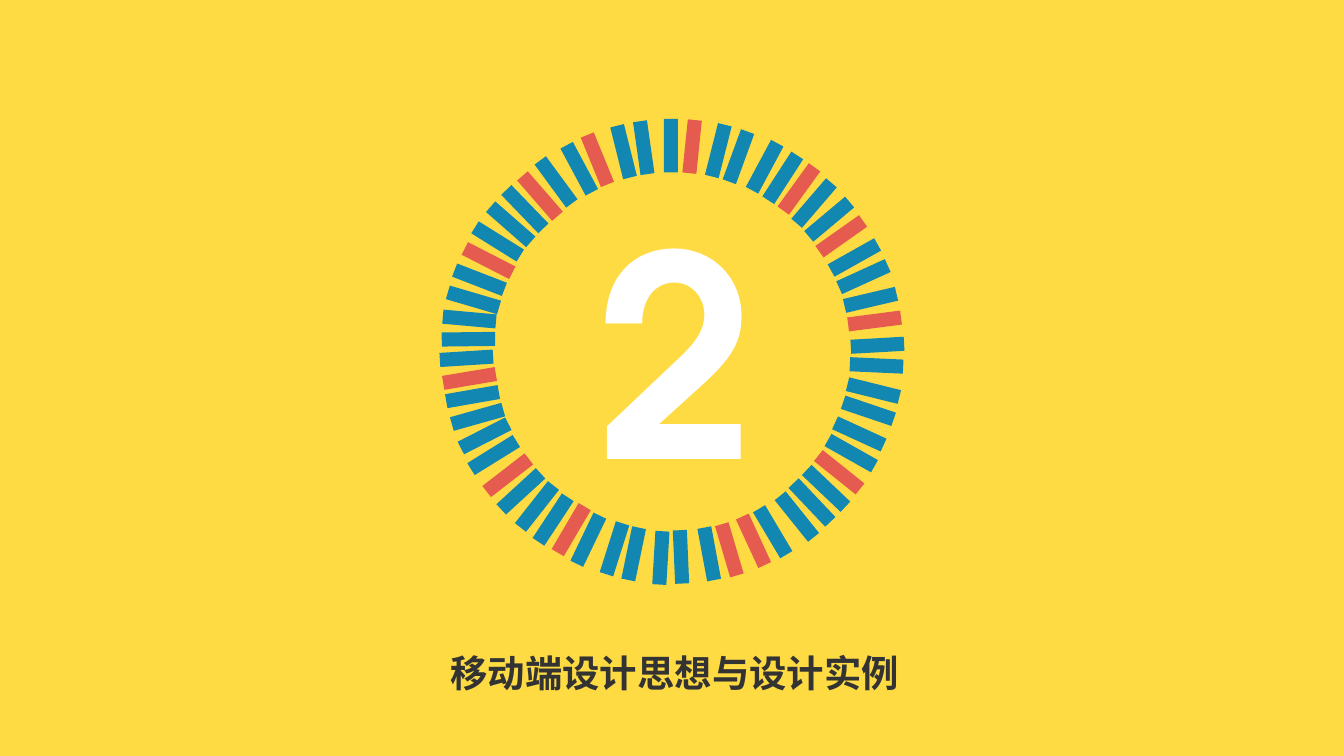
from pptx import Presentation
from pptx.dml.color import RGBColor
from pptx.enum.shapes import MSO_SHAPE
from pptx.enum.text import MSO_AUTO_SIZE, PP_ALIGN
from pptx.util import Cm, Pt

COLORS = {
    "background": "FEDB43",
    "blue": "1187B1",
    "red": "E65B4F",
    "number": "FFFFFF",
    "title": "333333",
}
FONT = "TeX Gyre Adventor"
BAR_WIDTH, BAR_LENGTH = 0.14, 0.53

# Every arc of the ring follows this fan of tilts, mirrored or turned as a whole.
FAN_TILTS = (0, 5.9, 14.2, 20.1, 28.2, 32.9, 35.9,
             40.7, 50, 54.8, 60.7, 65.5, 76.8, 82.6)

# Bar corners are in inches; "red" holds the positions of the red bars.
ARCS = [
    {"turn": 0, "direction": 1, "red": {1, 6, 9, 13},
     "lefts": (6.59, 6.8, 7.06, 7.26, 7.52, 7.7, 7.86,
               8.01, 8.16, 8.28, 8.41, 8.5, 8.57, 8.61),
     "tops": (1.18, 1.19, 1.23, 1.29, 1.39, 1.5, 1.61,
              1.75, 1.91, 2.08, 2.29, 2.48, 2.71, 2.92)},
    {"turn": -8.1, "direction": -1, "red": {2, 5, 9},
     "lefts": (6.32, 6.12, 5.86, 5.68, 5.45, 5.29, 5.14,
               5, 4.87, 4.78, 4.69, 4.63, 4.59, 4.58),
     "tops": (1.2, 1.24, 1.32, 1.41, 1.54, 1.68, 1.81,
              1.96, 2.13, 2.32, 2.51, 2.71, 2.9, 3.1)},
    {"turn": -10.6, "direction": -1, "red": {1, 2, 7},
     "lefts": (6.97, 7.17, 7.41, 7.6, 7.84, 7.99, 8.13,
               8.26, 8.38, 8.46, 8.55, 8.6, 8.63, 8.64),
     "tops": (5.23, 5.19, 5.1, 5.01, 4.86, 4.72, 4.58,
              4.42, 4.23, 4.04, 3.81, 3.61, 3.36, 3.16)},
    {"turn": -2.5, "direction": 1, "red": {5, 9},
     "lefts": (6.69, 6.49, 6.22, 6.03, 5.77, 5.6, 5.42,
               5.26, 5.1, 4.97, 4.83, 4.74, 4.67, 4.62),
     "tops": (5.26, 5.27, 5.23, 5.18, 5.09, 4.99, 4.89,
              4.76, 4.61, 4.45, 4.25, 4.06, 3.87, 3.67)},
    {"turn": 80.5, "direction": 1, "red": {0},
     "lefts": (4.59, 4.56), "tops": (3.49, 3.29)},
]


def color(name):
    return RGBColor.from_string(COLORS[name])


def from_inches(*lengths):
    return [Cm(length * 2.54) for length in lengths]


def set_attributes(target, values):
    for attribute, value in values.items():
        setattr(target, attribute, value)


def add_bar(ring, left, top, tilt, color_name):
    bar = ring.shapes.add_shape(
        MSO_SHAPE.RECTANGLE, *from_inches(left, top, BAR_WIDTH, BAR_LENGTH))
    bar.rotation = tilt % 360
    bar.shadow.inherit = False
    bar.fill.solid()
    bar.fill.fore_color.rgb = color(color_name)
    bar.line.fill.background()


def add_arc(ring, arc):
    places = zip(arc["lefts"], arc["tops"], FAN_TILTS)
    for position, (left, top, fan_tilt) in enumerate(places):
        tilt = arc["turn"] + arc["direction"] * fan_tilt
        add_bar(ring, left, top, tilt,
                "red" if position in arc["red"] else "blue")


def add_label(shapes, box, text, size, color_name, wrap, line_spacing):
    label = shapes.add_textbox(*from_inches(*box))
    frame = label.text_frame
    set_attributes(frame, {"word_wrap": wrap,
                           "auto_size": MSO_AUTO_SIZE.SHAPE_TO_FIT_TEXT})
    paragraph = frame.paragraphs[0]
    set_attributes(paragraph, {"alignment": PP_ALIGN.CENTER,
                               "line_spacing": line_spacing})
    run = paragraph.add_run()
    run.text = text
    set_attributes(run.font, {"name": FONT, "size": Pt(size), "bold": True})
    run.font.color.rgb = color(color_name)


def main():
    deck = Presentation()
    deck.slide_width, deck.slide_height = from_inches(13.34, 7.5)
    slide = deck.slides.add_slide(deck.slide_layouts[6])
    slide.background.fill.solid()
    slide.background.fill.fore_color.rgb = color("background")

    ring = slide.shapes.add_group_shape()
    for arc in ARCS:
        add_arc(ring, arc)
    add_label(ring.shapes, (5.81, 1.73, 1.77, 3.47), "2", 200,
              "number", wrap=False, line_spacing=1.0)
    add_label(slide.shapes, (3.91, 6.27, 5.58, 1.27), "移动端设计思想与设计实例", 26.7,
              "title", wrap=True, line_spacing=1.3)
    deck.save("out.pptx")


if __name__ == "__main__":
    main()
